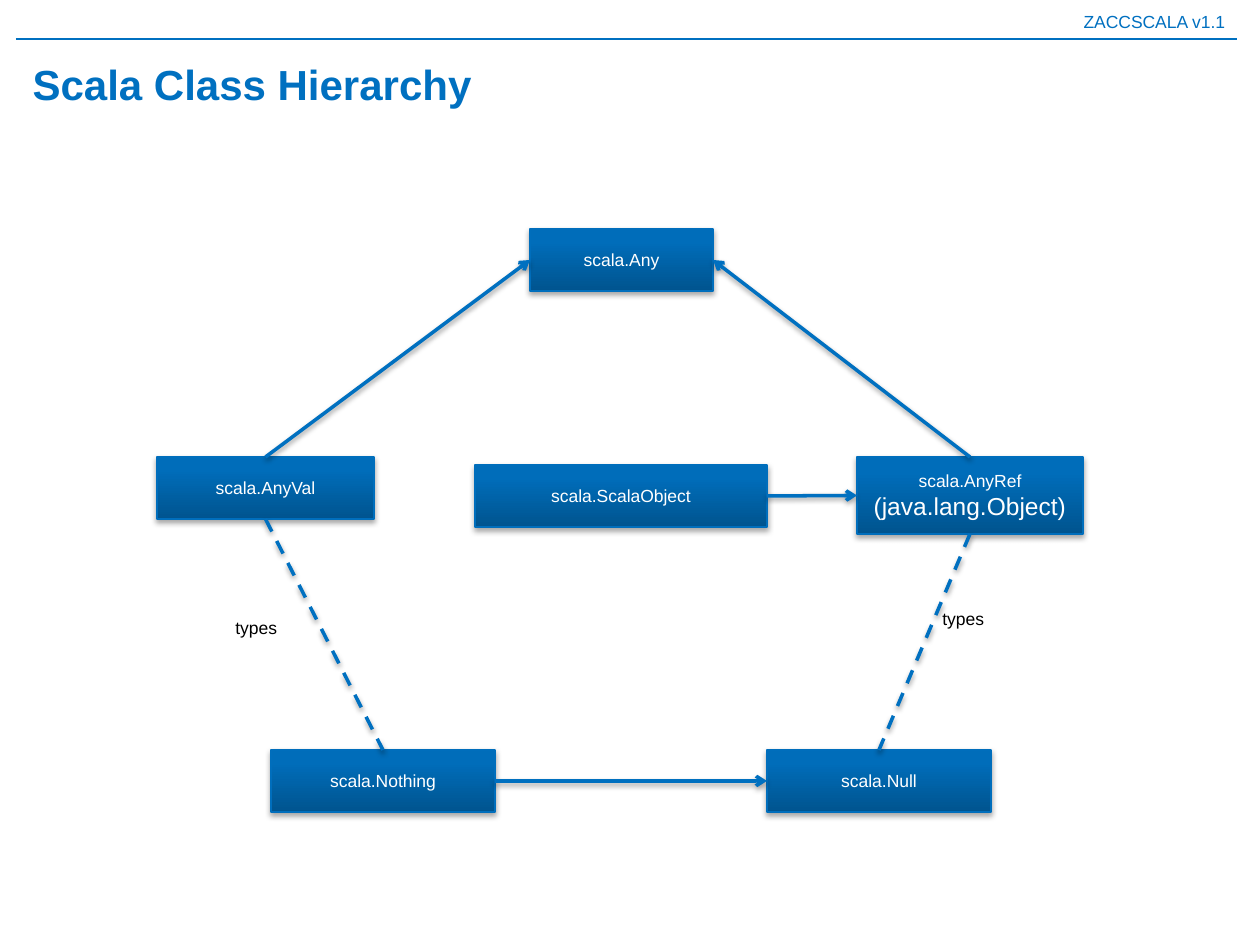
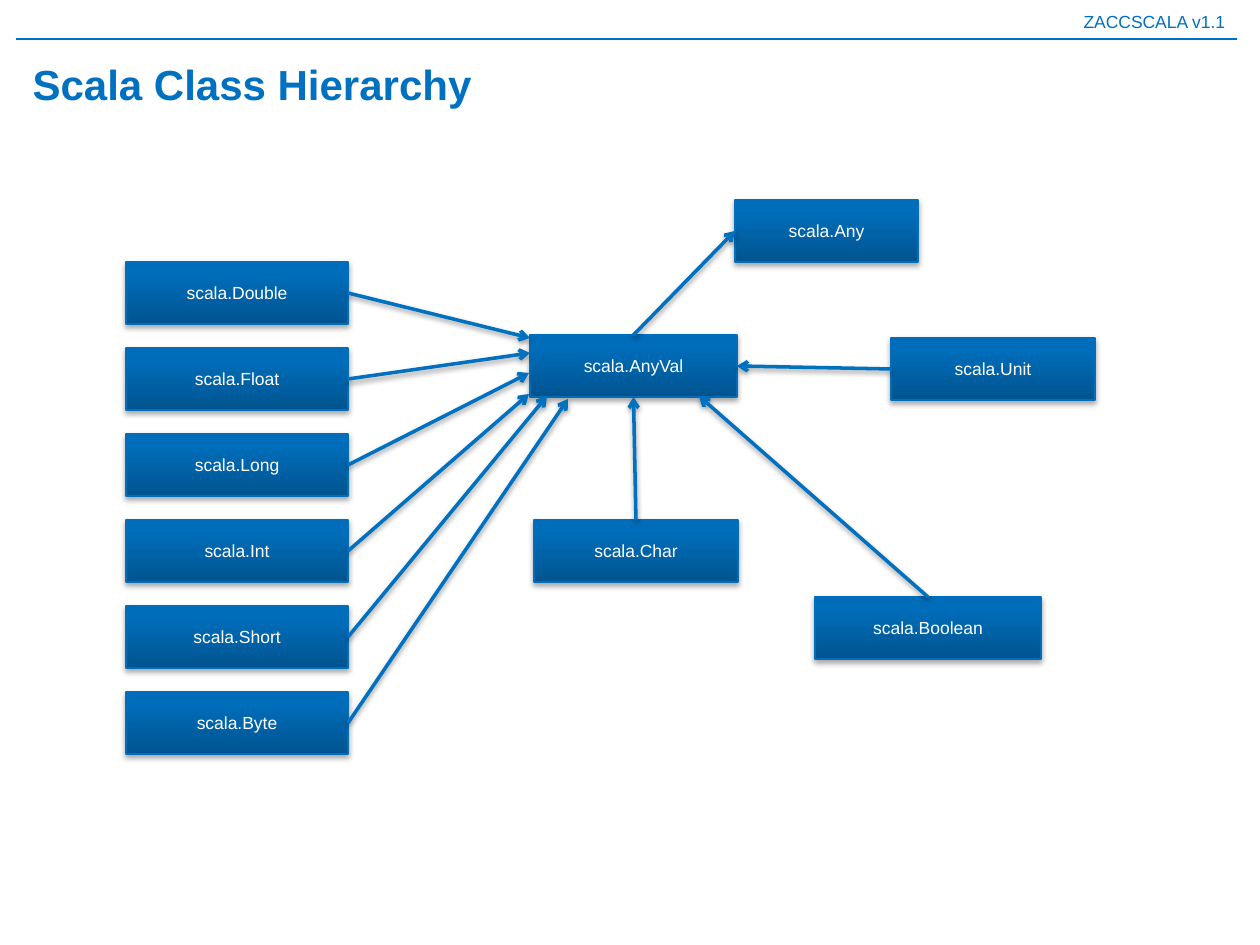
"""Builds two diagram slides about the Scala class hierarchy."""
from copy import deepcopy

from lxml.etree import SubElement
from pptx import Presentation
from pptx.dml.color import RGBColor
from pptx.enum.dml import MSO_LINE_DASH_STYLE as Dash
from pptx.enum.shapes import MSO_CONNECTOR as Connector, MSO_SHAPE as Shape
from pptx.enum.text import MSO_ANCHOR as Anchor, MSO_AUTO_SIZE as AutoSize, PP_ALIGN as Align
from pptx.oxml.ns import qn
from pptx.util import Emu, Pt

BLUE = RGBColor(0x00, 0x70, 0xC0)
EDGE_BLUE = RGBColor(0x00, 0x6E, 0xBC)
BLACK = RGBColor(0, 0, 0)
WHITE = RGBColor(255, 255, 255)
GRADIENT = [(0, RGBColor(0x00, 0x54, 0x8F)),
            (0.8, RGBColor(0x00, 0x6D, 0xBA)),
            (1, RGBColor(0x00, 0x6D, 0xBB))]

TOP, LEFT, BOTTOM, RIGHT = range(4)
BOX_HEIGHT = 62
HEADER = "ZACCSCALA v1.1"
TITLE = "Scala Class Hierarchy"

NUMERIC_TYPES = ["Double", "Float", "Long", "Int", "Short", "Byte"]
NUMERIC_LEFT, NUMERIC_TOP, NUMERIC_WIDTH, NUMERIC_PITCH = 126, 262, 222, 86
NUMERIC_ENDS = [(530, 338), (530, 353), (529, 373), (529, 394), (547, 396), (568, 399)]

OVERVIEW = {
    "classes": {
        "Any": (530, 229, 183),
        "AnyVal": (157, 457, 217),
        "AnyRef": (857, 457, 226, 77, "(java.lang.Object)"),
        "ScalaObject": (475, 465, 292),
        "Nothing": (271, 750, 224),
        "Null": (767, 750, 224),
    },
    "arrows": [
        ("AnyVal", TOP, "Any", LEFT),
        ("AnyRef", TOP, "Any", RIGHT),
        ("ScalaObject", RIGHT, "AnyRef", LEFT),
        ("Nothing", RIGHT, "Null", LEFT),
    ],
    "dashes": [
        ("AnyRef", BOTTOM, "Null", TOP),
        ("AnyVal", BOTTOM, "Nothing", TOP),
    ],
    "labels": [("types", 930, 602), ("types", 223, 611)],
}

VALUES = {
    "classes": {
        "Any": (735, 200, 183),
        "AnyVal": (530, 335, 207),
        **{name: (NUMERIC_LEFT, NUMERIC_TOP + row * NUMERIC_PITCH, NUMERIC_WIDTH)
           for row, name in enumerate(NUMERIC_TYPES)},
        "Char": (534, 520, 204),
        "Boolean": (815, 597, 226),
        "Unit": (891, 338, 204),
    },
    "arrows": [
        ("AnyVal", TOP, "Any", LEFT),
        ("Char", TOP, "AnyVal", BOTTOM),
        ("Boolean", TOP, (699, 396)),
        ("Unit", LEFT, "AnyVal", RIGHT),
        *[(name, RIGHT, end) for name, end in zip(NUMERIC_TYPES, NUMERIC_ENDS)],
    ],
    "dashes": [],
    "labels": [],
}


def px(length):
    return Emu(round(length * 914400 / 126))


def place(*lengths):
    return [px(length) for length in lengths]


def apply(target, **values):
    for key, value in values.items():
        setattr(target, key, value)


def write(paragraph, text, color, size=10, bold=False, align=Align.LEFT):
    paragraph.alignment = align
    run = paragraph.add_run()
    run.text = text
    apply(run.font, name="Arial", size=Pt(size), bold=bold)
    run.font.color.rgb = color


def stroke(line, color, width):
    line.color.rgb = color
    line.width = Pt(width)


def cast_shadow(properties, opacity, distance):
    effects = SubElement(properties, qn("a:effectLst"))
    shadow = SubElement(effects, qn("a:outerShdw"), blurRad="40000", dist=str(distance),
                        dir="5400000", rotWithShape="0")
    black = SubElement(shadow, qn("a:srgbClr"), val=str(BLACK))
    SubElement(black, qn("a:alpha"), val=str(opacity * 1000))


def add_header(slide, layout):
    band = slide.shapes.add_textbox(*place(0, 5, 1260, 34))
    apply(band.text_frame, word_wrap=True, margin_right=px(35))
    write(band.text_frame.paragraphs[0], HEADER, BLUE, align=Align.RIGHT)
    rule = slide.shapes.add_connector(Connector.STRAIGHT, *place(16, 39, 1237, 39))
    stroke(rule.line, BLUE, 0.75)
    SubElement(rule.element.spPr, qn("a:effectLst"))
    for part in (band, rule):
        layout.shapes.element.append(part.element)


def add_title(slide):
    title = slide.shapes.title
    apply(title, **dict(zip(("left", "top", "width", "height"), place(20, 49, 1211, 69))))
    apply(title.text_frame, vertical_anchor=Anchor.MIDDLE, auto_size=AutoSize.NONE, word_wrap=True)
    heading = title.text_frame.paragraphs[0]
    write(heading, TITLE, BLUE, 24, True)
    heading.space_before = Pt(4.8)
    indent = px(48)
    apply_indent = {"marL": str(indent), "indent": str(-indent)}
    for key, value in apply_indent.items():
        heading._p.get_or_add_pPr().set(key, value)


def add_class(slide, name, left, top, width, height=BOX_HEIGHT, alias=None):
    box = slide.shapes.add_shape(Shape.RECTANGLE, *place(left, top, width, height))
    box.fill.gradient()
    box.fill.gradient_angle = 90
    stops = box.element.spPr.find(".//" + qn("a:gsLst"))
    stops.append(deepcopy(stops[-1]))
    for stop, (position, color) in zip(box.fill.gradient_stops, GRADIENT):
        stop.position = position
        stop.color.rgb = color
    stroke(box.line, EDGE_BLUE, 0.75)
    cast_shadow(box.element.spPr, 35, 23000)
    frame = box.text_frame
    apply(frame, vertical_anchor=Anchor.MIDDLE, word_wrap=True)
    write(frame.paragraphs[0], "scala." + name, WHITE, align=Align.CENTER)
    if alias:
        write(frame.add_paragraph(), alias, WHITE, 14, align=Align.CENTER)
    return box


def add_link(slide, boxes, link, dashed):
    source, side, target, *target_side = link
    end = place(*target) if not target_side else place(0, 0)
    line = slide.shapes.add_connector(Connector.STRAIGHT, 0, 0, *end)
    line.begin_connect(boxes[source], side)
    if target_side:
        line.end_connect(boxes[target], target_side[0])
    stroke(line.line, BLUE, 2)
    if dashed:
        line.line.dash_style = Dash.DASH
    else:
        SubElement(line.element.spPr.find(qn("a:ln")), qn("a:tailEnd"), type="arrow")
    cast_shadow(line.element.spPr, 38, 20000)


def add_label(slide, text, left, top):
    label = slide.shapes.add_textbox(*place(left, top, 96, 50))
    apply(label.text_frame, word_wrap=False, auto_size=AutoSize.SHAPE_TO_FIT_TEXT)
    write(label.text_frame.paragraphs[0], text, BLACK)


def add_diagram(slide, diagram):
    add_title(slide)
    boxes = {name: add_class(slide, name, *values) for name, values in diagram["classes"].items()}
    for kind in ("arrows", "dashes"):
        for link in diagram[kind]:
            add_link(slide, boxes, link, kind == "dashes")
    for label in diagram["labels"]:
        add_label(slide, *label)


deck = Presentation()
apply(deck, slide_width=px(1260), slide_height=px(945))
title_only = deck.slide_layouts[5]
for footer in list(title_only.placeholders)[1:]:
    footer.element.getparent().remove(footer.element)
slides = [deck.slides.add_slide(title_only) for _ in range(2)]
add_header(slides[0], title_only)
for slide, diagram in zip(slides, (OVERVIEW, VALUES)):
    add_diagram(slide, diagram)
deck.save("out.pptx")
